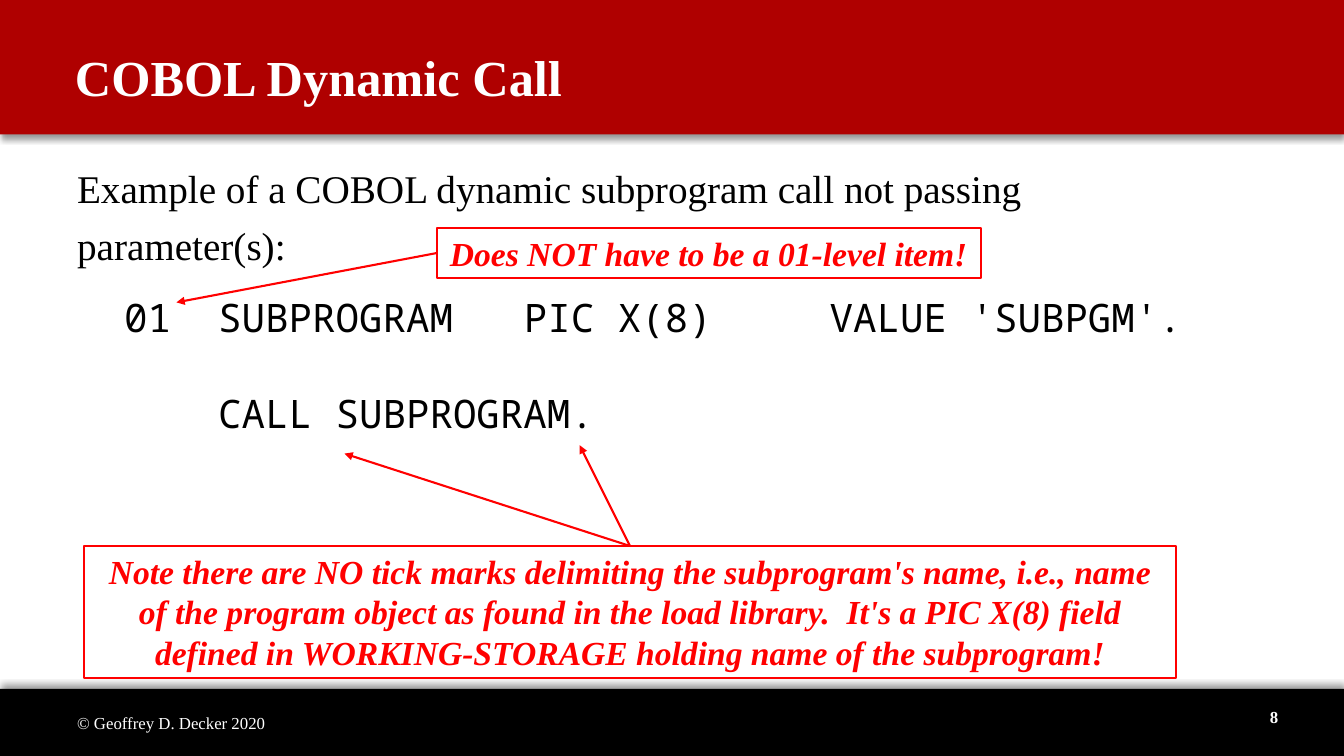
from pptx import Presentation
from pptx.dml.color import RGBColor
from pptx.enum.shapes import MSO_CONNECTOR, MSO_SHAPE
from pptx.enum.text import MSO_ANCHOR, MSO_AUTO_SIZE, PP_ALIGN
from pptx.oxml.ns import qn
from pptx.util import Pt
from lxml import etree

RECT, LINE = MSO_SHAPE.RECTANGLE, MSO_CONNECTOR.STRAIGHT
TOP, MIDDLE = MSO_ANCHOR.TOP, MSO_ANCHOR.MIDDLE
LEFT, CENTER, RIGHT = PP_ALIGN.LEFT, PP_ALIGN.CENTER, PP_ALIGN.RIGHT
GROW, FIXED = MSO_AUTO_SIZE.SHAPE_TO_FIT_TEXT, MSO_AUTO_SIZE.NONE
SCALE = 9525  # EMU per px, 96 px to the inch
RED, CRIMSON, BLACK, WHITE = "FF0000", "AF0000", "000000", "FFFFFF"
SERIF, MONO = "Times New Roman", "Noto Sans Mono"


def px(*vals):
    return [v * SCALE for v in vals]


def color(code):
    return RGBColor.from_string(code)


def apply(item, vals):
    for key, val in vals.items():
        setattr(item, key, val)


def add(parent, tag, **attrs):
    node = etree.SubElement(parent, qn(tag))
    for key, val in attrs.items():
        node.set(key, str(val))
    return node


class Deck:
    def __init__(self, wide, high):
        self.prs = Presentation()
        self.prs.slide_width, self.prs.slide_height = px(wide, high)
        self.slide = self.prs.slides.add_slide(self.prs.slide_layouts[6])
        self.shapes = self.slide.shapes

    def bar(self, box, fill, angle):
        shape = self.shapes.add_shape(RECT, *px(*box))
        shape.fill.solid()
        shape.fill.fore_color.rgb = color(fill)
        shape.line.fill.background()
        shape.shadow.inherit = False
        effects = shape._element.spPr.find(qn("a:effectLst"))
        glow = add(effects, "a:outerShdw", blurRad=Pt(4), dist=Pt(3),
                   dir=angle * 60000, algn="ctr", rotWithShape=0)
        tint = add(glow, "a:srgbClr", val=BLACK)
        add(tint, "a:alpha", val=40000)

    def label(self, para, text, size, tone, face=SERIF, **style):
        run = para.add_run()
        run.text = text
        apply(run.font, {"size": Pt(size), "name": face, **style})
        run.font.color.rgb = color(tone)

    def frame(self, shape, anchor, fit):
        frame = shape.text_frame
        apply(frame, {"word_wrap": True, "auto_size": fit,
                      "vertical_anchor": anchor})
        return frame

    def text(self, box, text, size, tone, align=LEFT, **style):
        shape = self.shapes.add_textbox(*px(*box))
        para = self.frame(shape, MIDDLE, FIXED).paragraphs[0]
        para.alignment = align
        self.label(para, text, size, tone, **style)

    def body(self, box, rows, size, stops):
        frame = self.frame(self.shapes.add_textbox(*px(*box)), TOP, FIXED)
        for i, (text, face, gap) in enumerate(rows):
            para = frame.add_paragraph() if i else frame.paragraphs[0]
            para.space_before = Pt(gap)
            if face == MONO:
                tabs = add(para._p.get_or_add_pPr(), "a:tabLst")
                for stop in stops:
                    add(tabs, "a:tab", pos=stop, algn="l")
            self.label(para, text, size, BLACK, face)

    def note(self, box, text):
        shape = self.shapes.add_shape(RECT, *px(*box))
        shape.shadow.inherit = False
        shape.fill.background()
        shape.line.color.rgb = color(RED)
        shape.line.width = Pt(1.5)
        para = self.frame(shape, TOP, GROW).paragraphs[0]
        para.alignment = CENTER
        self.label(para, text, 24, RED, bold=True, italic=True)

    def arrow(self, start, end):
        link = self.shapes.add_connector(LINE, *px(*start, *end))
        link.line.color.rgb = color(RED)
        link.line.width = Pt(1.5)
        shape = link._element.spPr
        add(shape.find(qn("a:ln")), "a:tailEnd", type="triangle")
        add(shape, "a:effectLst")


def main():
    deck = Deck(1280, 720)

    # Header and footer bars
    deck.bar((0, 656, 1280, 64), BLACK, 270)
    deck.bar((0, 0, 1280, 128), CRIMSON, 90)

    # Example code, aligned on character columns
    size = 28
    stops = [Pt(size * 0.6 * col) for col in (2, 6, 19, 32)]
    rows = [
        ("Example of a COBOL dynamic subprogram call not passing", SERIF, 7),
        ("parameter(s):", SERIF, 7),
        ("\t01\tSUBPROGRAM\tPIC X(8)\tVALUE 'SUBPGM'.", MONO, 17.6),
        ("\t\tCALL SUBPROGRAM.", MONO, 34.8),
    ]
    deck.body((64, 152, 1128, 516), rows, size, stops)

    # Title, credit and page number
    deck.text((62, 17, 1056, 112), "COBOL Dynamic Call", 36, WHITE, bold=True)
    deck.text((64, 669, 405, 38), "© Geoffrey D. Decker 2020", 12, WHITE)
    deck.text((1035, 664, 192, 38), "8", 12, WHITE, RIGHT, bold=True)

    # Note on the subprogram name
    deck.note((80, 520, 1040, 126),
              "Note there are NO tick marks delimiting the subprogram's name, "
              "i.e., name of the program object as found in the load library.  "
              "It's a PIC X(8) field defined in WORKING-STORAGE holding name "
              "of the subprogram!")
    for end in ((328, 432), (552, 424)):
        deck.arrow((600, 520), end)

    # Note on the level number
    deck.note((416, 217, 518, 48), "Does NOT have to be a 01-level item!")
    deck.arrow((416, 241), (168, 288))

    deck.prs.save("out.pptx")


if __name__ == "__main__":
    main()
